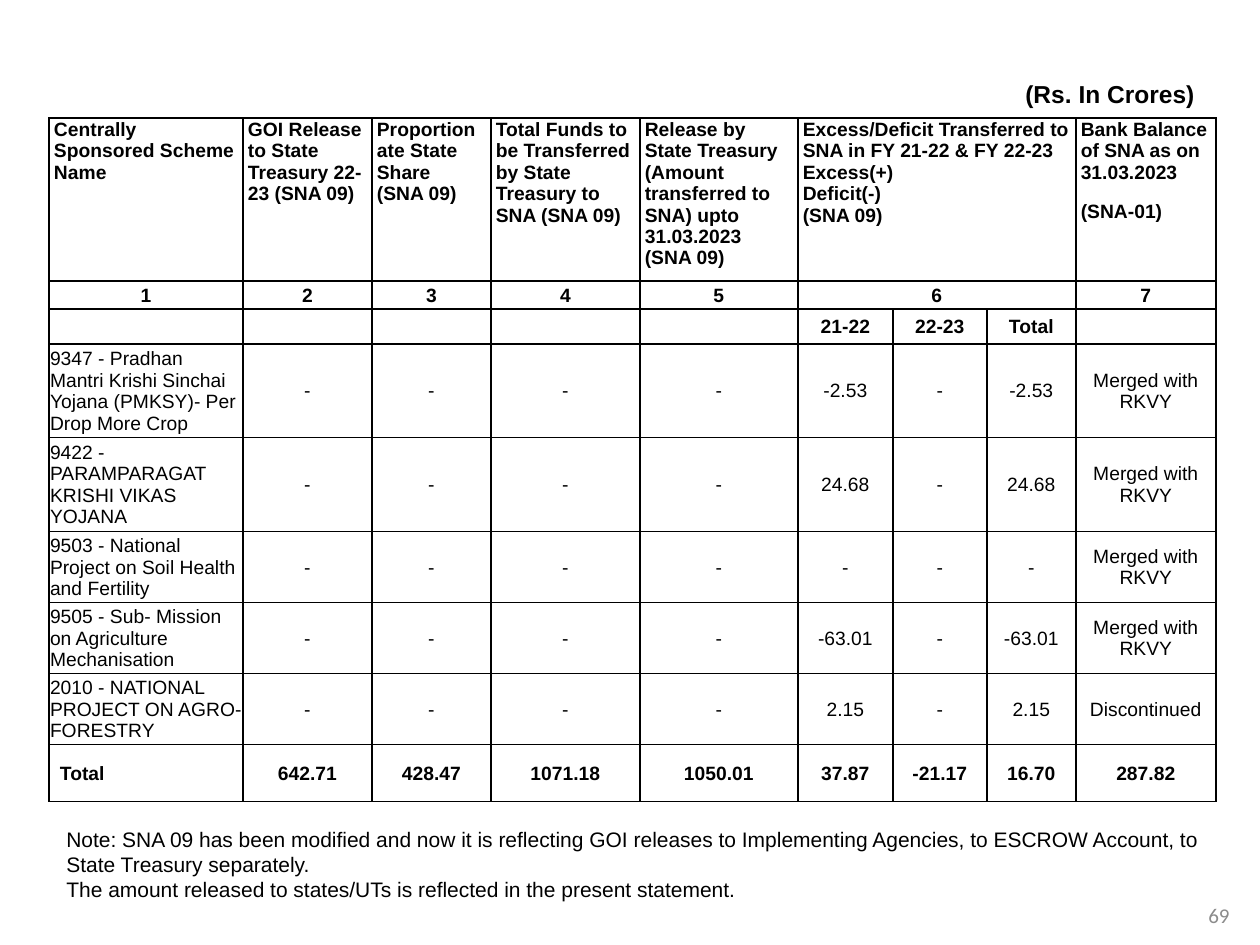
from lxml.etree import SubElement
from pptx import Presentation
from pptx.dml.color import RGBColor
from pptx.enum.text import MSO_ANCHOR as Anchor, PP_ALIGN as Align
from pptx.oxml.ns import qn
from pptx.util import Pt

PX = 914400 // 126
COLORS = {"ink": "000000", "number": "8C8C8C", "paper": "FFFFFF"}
COLUMNS = [194, 129, 119, 149, 158, 95, 94, 89, 140]
ROWS = [163, 28, 35, 93, 94, 71, 71, 71, 57]
YEARS = slice(5, 8)
HEADINGS = [
    ["Centrally Sponsored Scheme Name"],
    ["GOI Release to State Treasury 22-23 (SNA 09)"],
    ["Proportionate State Share", "(SNA 09)"],
    ["Total Funds to be Transferred by State Treasury to SNA (SNA 09)"],
    ["Release by State Treasury (Amount transferred to SNA) upto 31.03.2023 (SNA 09)"],
    ["Excess/Deficit Transferred to SNA in FY 21-22 & FY 22-23",
     "Excess(+)", "Deficit(-)", "(SNA 09)"],
    [], [],
    ["Bank Balance of SNA as on 31.03.2023", "(SNA-01)"],
]
NUMBERS = ["1", "2", "3", "4", "5", "6", "", "", "7"]
YEAR_LABELS = [""] * 5 + ["21-22", "22-23", "Total", ""]
MERGED = "Merged with RKVY"
SCHEMES = [
    ("9347 - Pradhan Mantri Krishi Sinchai Yojana (PMKSY)- Per Drop More Crop", "-2.53", MERGED),
    ("9422 - PARAMPARAGAT KRISHI VIKAS YOJANA", "24.68", MERGED),
    ("9503 - National Project on Soil Health and Fertility", "-", MERGED),
    ("9505 - Sub- Mission on Agriculture Mechanisation", "-63.01", MERGED),
    ("2010 - NATIONAL PROJECT ON AGRO- FORESTRY", "2.15", "Discontinued"),
]
TOTALS = ["Total", "642.71", "428.47", "1071.18", "1050.01",
          "37.87", "-21.17", "16.70", "287.82"]


def write(frame, lines, size, align=Align.LEFT, bold=False, color="ink", face="Arial"):
    frame.word_wrap = True
    for index, line in enumerate(lines):
        para = frame.paragraphs[0] if index == 0 else frame.add_paragraph()
        para.text = line
        para.alignment = align
        font = para.font
        font.name, font.size, font.bold = face, Pt(size), bold
        font.color.rgb = RGBColor.from_string(COLORS[color])
        if not line:
            SubElement(para._p, qn("a:endParaRPr"), sz=str(size * 100))


def add_text(page, box, lines, size, anchor=Anchor.TOP, **style):
    frame = page.shapes.add_textbox(*(side * PX for side in box)).text_frame
    frame.vertical_anchor = anchor
    write(frame, lines, size, **style)


def add_borders(cell):
    properties = cell._tc.get_or_add_tcPr()
    for place, side in enumerate(("lnL", "lnR", "lnT", "lnB")):
        line = SubElement(properties, qn(f"a:{side}"), w=str(Pt(1)))
        fill = SubElement(line, qn("a:solidFill"))
        SubElement(fill, qn("a:srgbClr"), val=COLORS["ink"])
        properties.insert(place, line)


def fill_cell(cell, lines, align, bold, anchor, left, right):
    cell.margin_left, cell.margin_right = left * PX, right * PX
    cell.margin_top, cell.margin_bottom = PX, 0
    cell.vertical_anchor = anchor
    cell.fill.solid()
    cell.fill.fore_color.rgb = RGBColor.from_string(COLORS["paper"])
    add_borders(cell)
    write(cell.text_frame, lines or [""], 11, align, bold)


def add_funds_table(page, left, top):
    frame = page.shapes.add_table(len(ROWS), len(COLUMNS), left * PX, top * PX,
                                  sum(COLUMNS) * PX, sum(ROWS) * PX)
    table = frame.table
    table.first_row = table.horz_banding = False
    for column, width in zip(table.columns, COLUMNS):
        column.width = width * PX
    for row, height in zip(table.rows, ROWS):
        row.height = height * PX

    schemes = [[name] + ["-"] * 4 + [excess, "-", excess, balance]
               for name, excess, balance in SCHEMES]
    body = [[[text] for text in row] for row in [NUMBERS, YEAR_LABELS, *schemes, TOTALS]]
    last = len(ROWS) - 1
    for r, row in enumerate([HEADINGS, *body]):
        heading = r < 2
        for c, lines in enumerate(row):
            align = Align.LEFT if r == 0 or (c == 0 and r > 2) else Align.CENTER
            inset = 5 if heading else 1
            indent = 11 if (r, c) == (last, 0) else inset
            fill_cell(table.cell(r, c), lines, align, r < 3 or r == last,
                      Anchor.TOP if heading else Anchor.MIDDLE, indent, inset)
    for r in range(2):
        table.cell(r, YEARS.start).merge(table.cell(r, YEARS.stop - 1))
    for c in range(len(COLUMNS)):
        table.cell(1, c).text_frame.paragraphs[0].line_spacing = 1.15
    table.cell(0, len(COLUMNS) - 1).text_frame.paragraphs[0].space_after = Pt(10)


def build_slide(deck):
    page = deck.slides.add_slide(deck.slide_layouts[6])
    add_text(page, (54, 73, 1153, 40), ["(Rs. In Crores)"], 14, align=Align.RIGHT, bold=True)
    add_funds_table(page, 49, 118)
    add_text(page, (1194, 890, 50, 50), ["69"], 12, Anchor.MIDDLE,
             align=Align.CENTER, color="number", face="Calibri")
    add_text(page, (54, 820, 1162, 89), [
        "Note: SNA 09 has been modified and now it is reflecting GOI releases to "
        "Implementing Agencies, to ESCROW Account, to State Treasury separately.",
        "The amount released to states/UTs is reflected in the present statement.",
    ], 12)


def main():
    deck = Presentation()
    deck.slide_width, deck.slide_height = 1260 * PX, 945 * PX
    build_slide(deck)
    deck.save("out.pptx")


if __name__ == "__main__":
    main()
